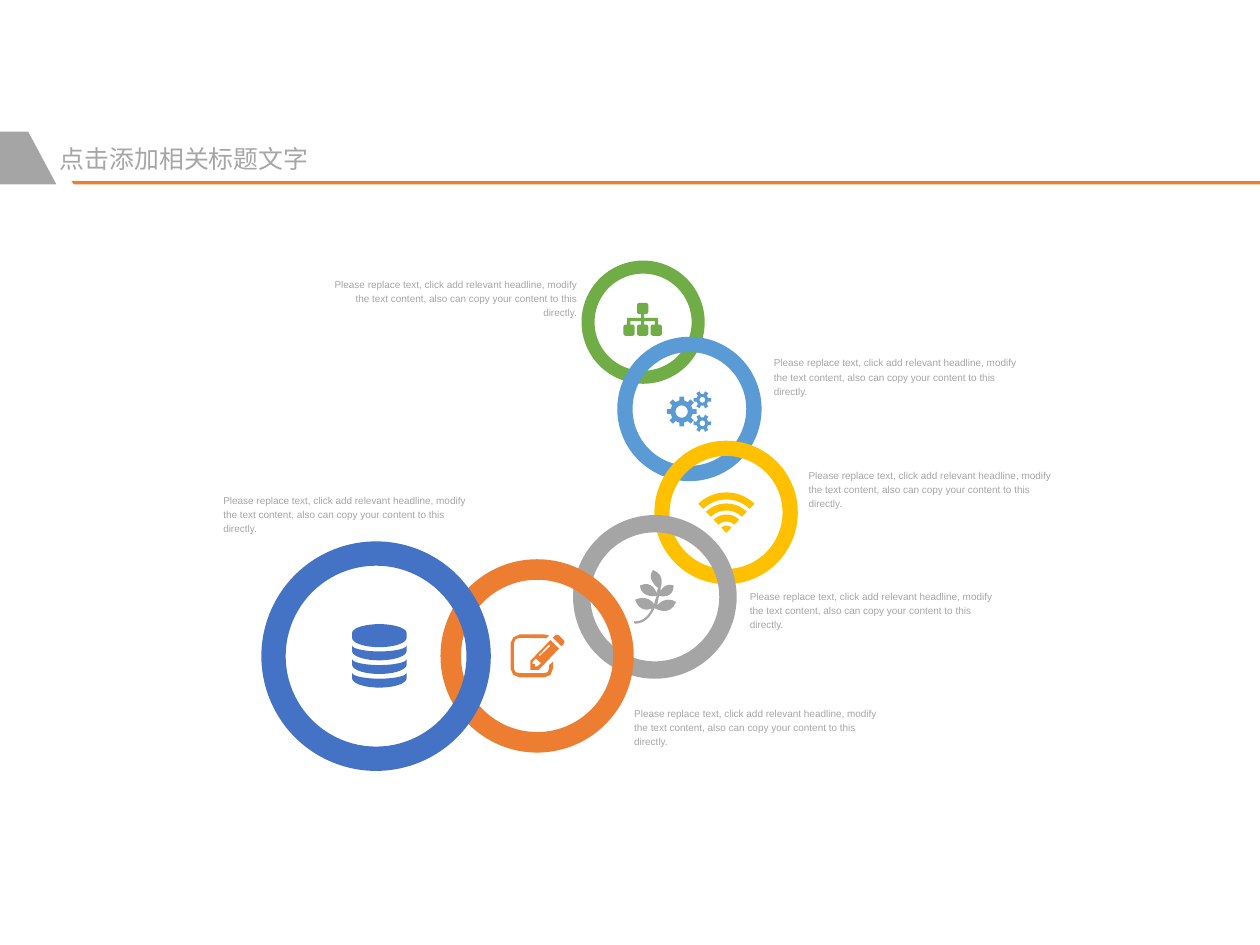
from math import cos, pi, radians, sin

from pptx import Presentation
from pptx import util as u
from pptx.dml.color import RGBColor
from pptx.enum import shapes, text

GREEN, BLUE, YELLOW = "70AD47", "5B9BD5", "FFC000"
GRAY, ORANGE, NAVY = "A5A5A5", "ED7D31", "4472C4"
TEXT_GRAY = "A6A6A6"
CAPTION = ("Please replace text, click add relevant headline, modify the text "
           "content, also can copy your content to this directly.")

presentation = Presentation()
presentation.slide_width = u.Cm(26.8)
presentation.slide_height = u.Cm(20.09)
slide = presentation.slides.add_slide(presentation.slide_layouts[5])


def paint(target, color):
    target.fill.solid()
    target.fill.fore_color.rgb = RGBColor.from_string(color)
    target.line.fill.background()
    target.shadow.inherit = False


def draw_outline(contours, color):
    contours = [[(u.Cm(x), u.Cm(y)) for x, y in contour] for contour in contours]
    builder = slide.shapes.build_freeform(*contours[0][0])
    for number, contour in enumerate(contours):
        if number:
            builder.move_to(*contour[0])
        builder.add_line_segments(contour[1:], close=True)
    paint(builder.convert_to_shape(), color)


rings = [
    (12.37, 5.54, 2.62, GREEN),
    (13.13, 7.16, 3.07, BLUE),
    (13.92, 9.37, 3.05, YELLOW),
    (12.19, 10.95, 3.48, GRAY),
    (9.37, 11.89, 4.11, ORANGE),
    (5.56, 11.51, 4.88, NAVY),
]
for left, top, size, color in rings:
    ring = slide.shapes.add_shape(
        shapes.MSO_SHAPE.DONUT, u.Cm(left), u.Cm(top), u.Cm(size), u.Cm(size))
    ring.adjustments[0] = 0.106
    paint(ring, color)

hierarchy = [[
    (13.64, 6.68), (13.7, 6.68), (13.7, 6.76), (14, 6.76), (14, 6.9),
    (13.93, 6.9), (13.93, 6.83), (13.7, 6.83), (13.7, 6.9), (13.64, 6.9),
    (13.64, 6.83), (13.41, 6.83), (13.41, 6.9), (13.34, 6.9), (13.34, 6.76),
    (13.64, 6.76),
]]
for center_x, center_y in [(13.67, 6.56), (13.38, 7.02), (13.67, 7.02), (13.96, 7.02)]:
    node = []
    for quarter, (side_x, side_y) in enumerate([(1, 1), (-1, 1), (-1, -1), (1, -1)]):
        for step in range(4):
            angle = radians(90 * quarter + 30 * step)
            node.append((center_x + 0.07 * side_x + 0.05 * cos(angle),
                         center_y + 0.07 * side_y + 0.05 * sin(angle)))
    hierarchy.append(node)
draw_outline(hierarchy, GREEN)

gears = []
for center_x, center_y, tip, root, hole, teeth in [
        (14.5, 8.75, 0.32, 0.24, 0.13, 8),
        (14.94, 8.5, 0.19, 0.13, 0.06, 6),
        (14.94, 9, 0.19, 0.13, 0.06, 6)]:
    rim = [(2 * pi * (tooth + offset) / teeth, radius)
           for tooth in range(teeth)
           for offset, radius in [(-0.27, root), (-0.2, tip), (0.2, tip), (0.27, root)]]
    bore = [(-radians(angle), hole) for angle in range(0, 360, 15)]
    for contour in (rim, bore):
        gears.append([(center_x + radius * cos(angle), center_y + radius * sin(angle))
                      for angle, radius in contour])
draw_outline(gears, BLUE)

wireless = []
for band in range(4):
    outer = 0.86 - 0.235 * band
    edge = [(outer, angle) for angle in range(-44, 45, 4)]
    edge += [(outer - 0.15, angle) for angle in range(44, -45, -4)]
    wireless.append([(15.45 + radius * sin(radians(angle)),
                      11.33 - radius * cos(radians(angle))) for radius, angle in edge])
draw_outline(wireless, YELLOW)

leaf_start = (13.92, 12.93)
leaf_curves = [
    (13.84, 13.13, 13.69, 13.26, 13.51, 13.26),
    (13.49, 13.26, 13.49, 13.23, 13.49, 13.23),
    (13.49, 13.21, 13.49, 13.21, 13.51, 13.21),
    (13.67, 13.21, 13.79, 13.11, 13.87, 12.93),
    (13.79, 12.98, 13.59, 13, 13.51, 12.75),
    (13.74, 12.65, 13.87, 12.78, 13.92, 12.85),
    (13.92, 12.8, 13.94, 12.75, 13.97, 12.67),
    (13.97, 12.67, 13.64, 12.73, 13.61, 12.45),
    (13.89, 12.32, 13.97, 12.62, 13.97, 12.62),
    (13.97, 12.57, 14, 12.5, 14, 12.5),
    (14, 12.5, 13.74, 12.32, 13.89, 12.12),
    (14.17, 12.22, 14.05, 12.5, 14.05, 12.5),
    (14.05, 12.5, 14.05, 12.55, 14.05, 12.57),
    (14.05, 12.57, 14.15, 12.37, 14.33, 12.45),
    (14.33, 12.75, 14.02, 12.67, 14.02, 12.67),
    (14, 12.75, 14, 12.8, 13.97, 12.88),
    (13.97, 12.88, 14.15, 12.65, 14.38, 12.8),
    (14.25, 13.13, 13.92, 12.93, 13.92, 12.93),
]
leaf = [leaf_start]
for x1, y1, x2, y2, x3, y3 in leaf_curves:
    x0, y0 = leaf[-1]
    for step in range(1, 9):
        t = step / 8
        weights = ((1 - t) ** 3, 3 * t * (1 - t) ** 2, 3 * t * t * (1 - t), t ** 3)
        leaf.append((sum(w * x for w, x in zip(weights, (x0, x1, x2, x3))),
                     sum(w * y for w, y in zip(weights, (y0, y1, y2, y3)))))
draw_outline([leaf], GRAY)

database = []
for top, top_bulge, bottom in [(13.46, -0.19, 13.56)] + [
        (13.72 + 0.29 * disk, 0.13, 13.84 + 0.29 * disk) for disk in range(3)]:
    edge = [(angle, top, top_bulge) for angle in range(180, -1, -10)]
    edge += [(angle, bottom, 0.2) for angle in range(0, 181, 10)]
    database.append([(8.07 + 0.58 * cos(radians(angle)), y + bulge * sin(radians(angle)))
                     for angle, y, bulge in edge])
draw_outline(database, NAVY)

note_frame = [
    (11.68, 13.51), (11.58, 13.49), (11.05, 13.49), (10.92, 13.55), (10.86, 13.67),
    (10.86, 14.22), (10.92, 14.35), (11.05, 14.4), (11.58, 14.4), (11.71, 14.35),
    (11.76, 14.22), (11.76, 14.07), (11.68, 14.14), (11.68, 14.22), (11.65, 14.29),
    (11.58, 14.31), (11.05, 14.31), (10.97, 14.29), (10.93, 14.22), (10.93, 13.67),
    (10.97, 13.59), (11.05, 13.56), (11.62, 13.57),
]
pencil_body = [(11.89, 13.79), (11.46, 14.24), (11.28, 14.24), (11.28, 14.05), (11.71, 13.61)]
pencil_tip = [(11.51, 14.1), (11.4, 14), (11.33, 14.07), (11.33, 14.12),
              (11.38, 14.12), (11.38, 14.17), (11.43, 14.17)]
pencil_shine = [(11.68, 13.7), (11.46, 13.93), (11.48, 13.95), (11.71, 13.73)]
eraser = [(11.94, 13.74), (11.76, 13.56), (11.81, 13.51), (11.85, 13.49),
          (11.89, 13.51), (11.99, 13.61), (12.01, 13.65), (11.99, 13.69)]
draw_outline([note_frame, pencil_body, pencil_tip, pencil_shine, eraser], ORANGE)

draw_outline([[(1.52, 3.85), (26.8, 3.85), (26.8, 3.92), (1.57, 3.92)]], ORANGE)
draw_outline([[(0.6, 2.8), (1.2, 3.92), (0, 3.92), (0, 2.8)]], GRAY)

title = slide.shapes.title
title.left, title.top, title.width, title.height = map(u.Cm, (1.27, 3.05, 6.4, 0.64))
LEFT, RIGHT = text.PP_ALIGN.LEFT, text.PP_ALIGN.RIGHT
blocks = [(title, "点击添加相关标题文字", 15, LEFT, 1, text.MSO_ANCHOR.MIDDLE)]
for left, top, align in [
        (4.75, 10.46, LEFT), (13.49, 14.99, LEFT), (15.95, 12.5, LEFT),
        (17.2, 9.93, LEFT), (16.46, 7.54, LEFT), (7.09, 5.87, RIGHT)]:
    caption = slide.shapes.add_textbox(u.Cm(left), u.Cm(top), u.Cm(5.18), u.Cm(0.89))
    blocks.append((caption, CAPTION, 6, align, 1.2, text.MSO_ANCHOR.TOP))

for shape, words, size, align, spacing, anchor in blocks:
    frame = shape.text_frame
    frame.text = words
    paragraph = frame.paragraphs[0]
    paragraph.font.color.rgb = RGBColor.from_string(TEXT_GRAY)
    formats = {
        frame: {"margin_left": 0, "margin_top": 0, "margin_right": 0, "margin_bottom": 0,
                "word_wrap": True, "auto_size": text.MSO_AUTO_SIZE.NONE,
                "vertical_anchor": anchor},
        paragraph: {"alignment": align, "line_spacing": spacing},
        paragraph.font: {"name": "Arial", "size": u.Pt(size)},
    }
    for target, values in formats.items():
        for name, value in values.items():
            setattr(target, name, value)

presentation.save("out.pptx")
